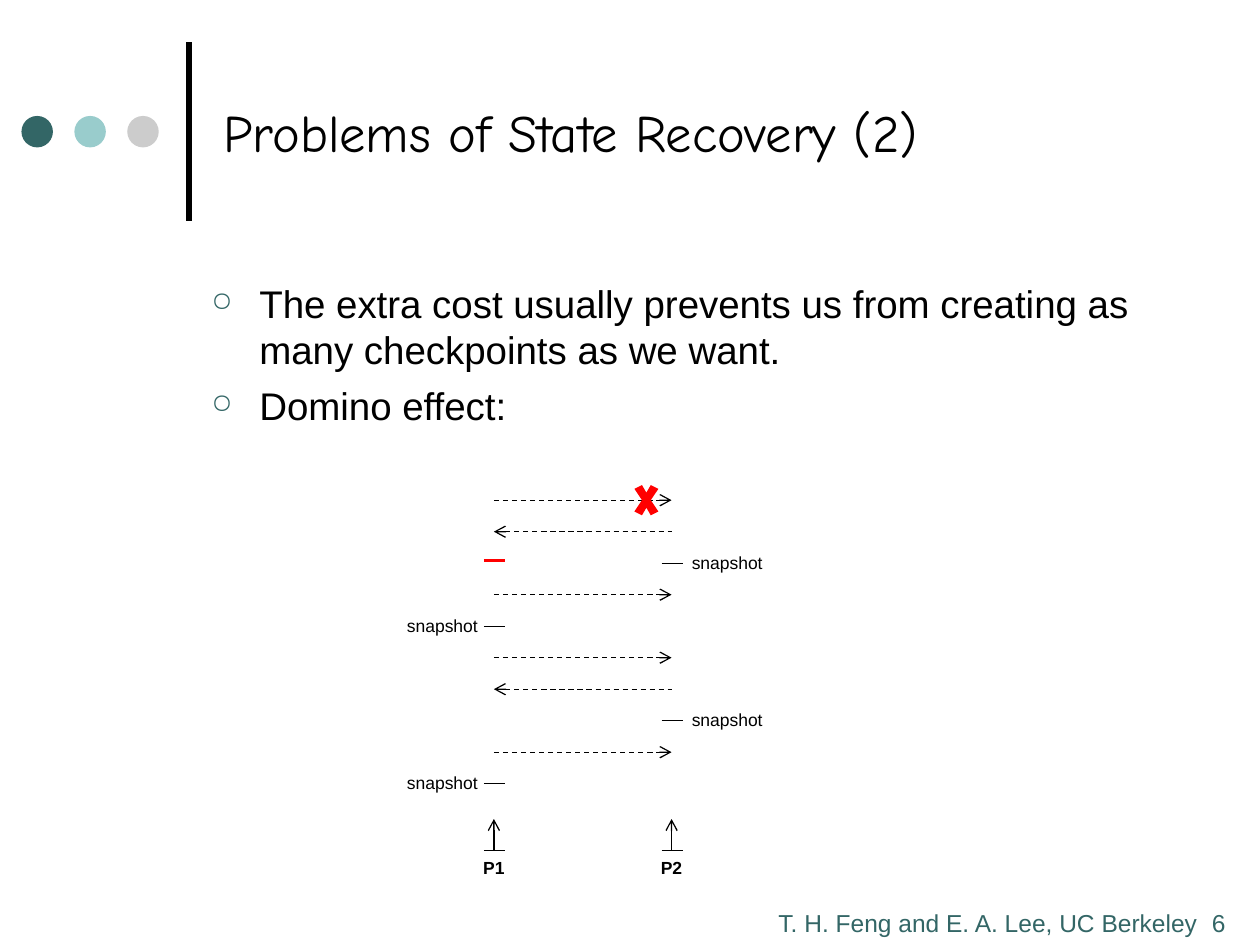
from dataclasses import dataclass

import pptx
import pptx.dml.color
import pptx.enum.dml
import pptx.enum.shapes
import pptx.enum.text
import pptx.oxml
import pptx.oxml.ns
import pptx.util

Inches = pptx.util.Inches
Pt = pptx.util.Pt
Align = pptx.enum.text.PP_ALIGN


@dataclass(frozen=True)
class Theme:
    ink: str = "000000"
    accent: str = "336666"
    dots: tuple = ("336666", "99CCCC", "CCCCCC")
    alert: str = "FF0000"
    title_font: str = "Comic Neue"
    body_font: str = "Arial"
    title_size: int = 30
    body_size: int = 22
    footer_size: int = 14
    label_size: int = 10
    rule_width: float = 3
    line_width: float = 0.75
    alert_width: float = 1.5


THEME = Theme()


def rgb(color):
    return pptx.dml.color.RGBColor.from_string(color)


def add_xml(parent, tag, **attributes):
    element = pptx.oxml.parse_xml(f"<a:{tag} {pptx.oxml.ns.nsdecls('a')}/>")
    for name, value in attributes.items():
        element.set(name, value)
    parent.append(element)
    return element


def format_para(para, size, color=THEME.ink, font=THEME.body_font, bold=False):
    for span in para.runs:
        span.font.name = font
        span.font.size = Pt(size)
        span.font.bold = bold
        span.font.color.rgb = rgb(color)


def add_text(page, box, text, align=Align.LEFT):
    frame = page.shapes.add_textbox(*map(Inches, box)).text_frame
    frame.word_wrap = True
    frame.text = text
    for para in frame.paragraphs:
        para.alignment = align
    return frame


def add_line(page, start, end, color=THEME.ink, width=THEME.line_width, dashed=False, arrow=None):
    line = page.shapes.add_connector(
        pptx.enum.shapes.MSO_CONNECTOR.STRAIGHT, *map(Inches, (*start, *end)))
    line.line.color.rgb = rgb(color)
    line.line.width = Pt(width)
    if dashed:
        line.line.dash_style = pptx.enum.dml.MSO_LINE.DASH
    if arrow:
        add_xml(line.line._get_or_add_ln(), arrow, type="arrow")
    add_xml(line._element.spPr, "effectLst")


def fill_shape(shape, color):
    shape.shadow.inherit = False
    shape.fill.solid()
    shape.fill.fore_color.rgb = rgb(color)
    shape.line.fill.background()


def add_ornament(page, box):
    left, top, width, height = box
    add_line(page, (left + width, top + height), (left + width, top), width=THEME.rule_width)
    size, pitch = 0.25, 0.42
    for index, color in enumerate(THEME.dots):
        dot = page.shapes.add_shape(
            pptx.enum.shapes.MSO_SHAPE.OVAL,
            *map(Inches, (left + index * pitch, top + 0.59, size, size)))
        fill_shape(dot, color)


def place_title(page, box, text):
    title = page.shapes.title
    title.left, title.top, title.width, title.height = map(Inches, box)
    frame = title.text_frame
    frame.text = text
    frame.auto_size = pptx.enum.text.MSO_AUTO_SIZE.NONE
    frame.vertical_anchor = pptx.enum.text.MSO_ANCHOR.MIDDLE
    frame.paragraphs[0].alignment = Align.LEFT
    format_para(frame.paragraphs[0], THEME.title_size, font=THEME.title_font)


def add_bullets(page, box, items):
    frame = add_text(page, box, "\n".join(items))
    for index, para in enumerate(frame.paragraphs):
        para.space_before = Pt(5.5 if index else 0)
        props = para._p.get_or_add_pPr()
        props.set("marL", str(Inches(0.38)))
        props.set("indent", str(-Inches(0.38)))
        add_xml(add_xml(props, "buClr"), "srgbClr", val=THEME.accent)
        add_xml(props, "buSzPct", val="70000")
        add_xml(props, "buChar", char="○")
        format_para(para, THEME.body_size)


def add_footer(page, box, text):
    para = add_text(page, box, text).paragraphs[0]
    tabs = add_xml(para._p.get_or_add_pPr(), "tabLst")
    add_xml(tabs, "tab", pos=str(Inches(3.44)), algn="l")
    format_para(para, THEME.footer_size, THEME.accent)


def add_label(page, box, text, align, bold=False):
    para = add_text(page, box, text, align).paragraphs[0]
    format_para(para, THEME.label_size, bold=bold)


def add_tick(page, x, y, **style):
    add_line(page, (x - 0.08, y), (x + 0.09, y), **style)


def add_cross(page, x, y):
    half = [(-0.095, -0.09), (-0.035, -0.12), (0, -0.06),
            (0.035, -0.12), (0.095, -0.09), (0.035, 0)]
    outline = half + [(-dx, -dy) for dx, dy in half]
    points = [(Inches(x + dx), Inches(y + dy)) for dx, dy in outline]
    builder = page.shapes.build_freeform(*points[0])
    builder.add_line_segments(points[1:], close=True)
    fill_shape(builder.convert_to_shape(), THEME.alert)


def add_domino_diagram(page, box):
    left, top, width, height = box
    right, bottom = left + width, top + height
    row_pitch = 0.25
    label_lefts = {left: left - 0.86, right: right - 0.01}
    events = ["send", "reply", right, "send", left, "send", "reply", right, "send", left]
    for row, event in enumerate(events):
        y = top + row * row_pitch
        if event in label_lefts:
            add_tick(page, event, y)
            add_label(page, (label_lefts[event], y - 0.14, 0.83, 0.27), "snapshot", Align.RIGHT)
        else:
            arrow = "tailEnd" if event == "send" else "headEnd"
            add_line(page, (left, y), (right, y), dashed=True, arrow=arrow)
    for name, x in (("P1", left), ("P2", right)):
        add_line(page, (x, bottom), (x, bottom - row_pitch), arrow="tailEnd")
        add_tick(page, x, bottom)
        add_label(page, (x - 0.25, bottom, 0.5, 0.27), name, Align.CENTER, bold=True)
    add_cross(page, right - 0.2, top)
    add_tick(page, left, top + 0.48, color=THEME.alert, width=THEME.alert_width)


def main():
    deck = pptx.Presentation()
    deck.slide_width, deck.slide_height = Inches(10), Inches(7.5)
    page = deck.slides.add_slide(deck.slide_layouts.get_by_name("Title Only"))
    add_ornament(page, (0.17, 0.33, 1.33, 1.42))
    place_title(page, (1.67, 0.21, 8.08, 1.67), "Problems of State Recovery (2)")
    add_bullets(page, (1.58, 2.17, 8.08, 5), [
        "The extra cost usually prevents us from creating as many checkpoints as we want.",
        "Domino effect:",
    ])
    add_domino_diagram(page, (3.92, 3.97, 1.41, 2.78))
    add_footer(page, (6.08, 7.16, 3.92, 0.34), "T. H. Feng and E. A. Lee, UC Berkeley\t6")
    deck.save("out.pptx")


if __name__ == "__main__":
    main()
